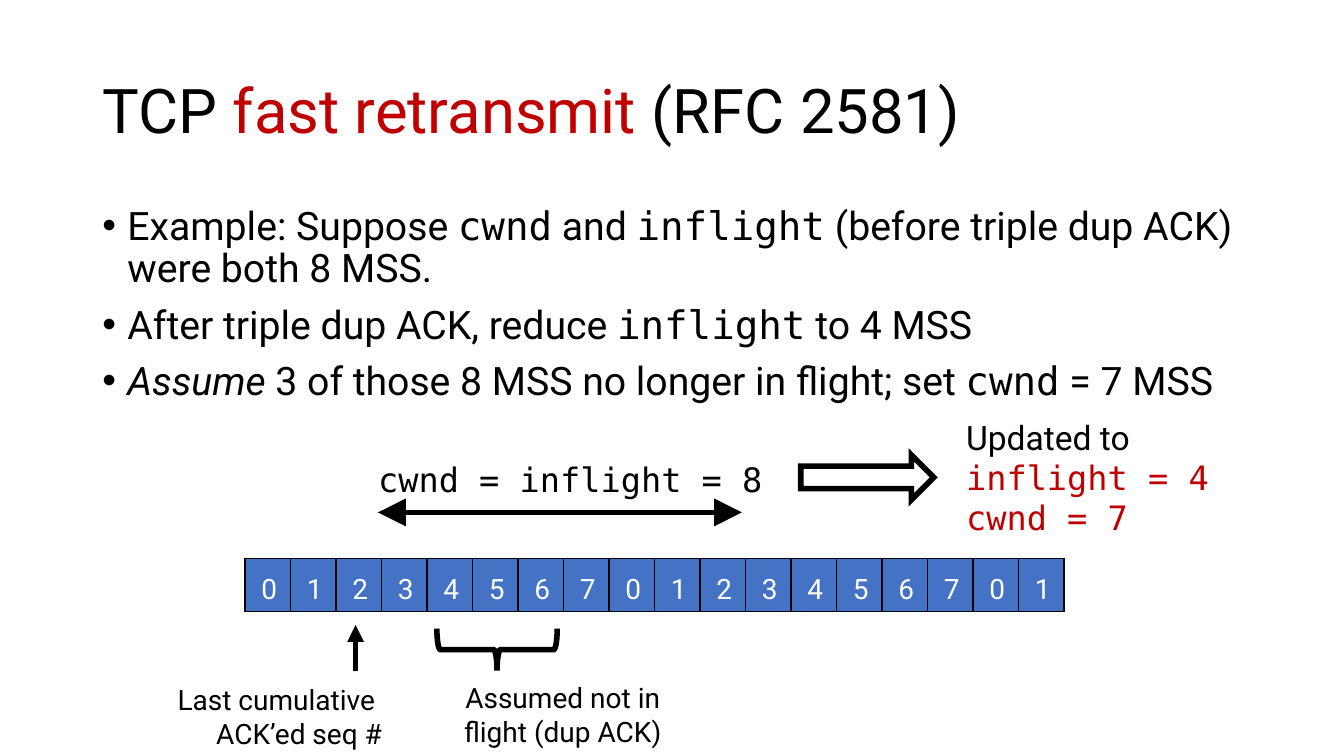
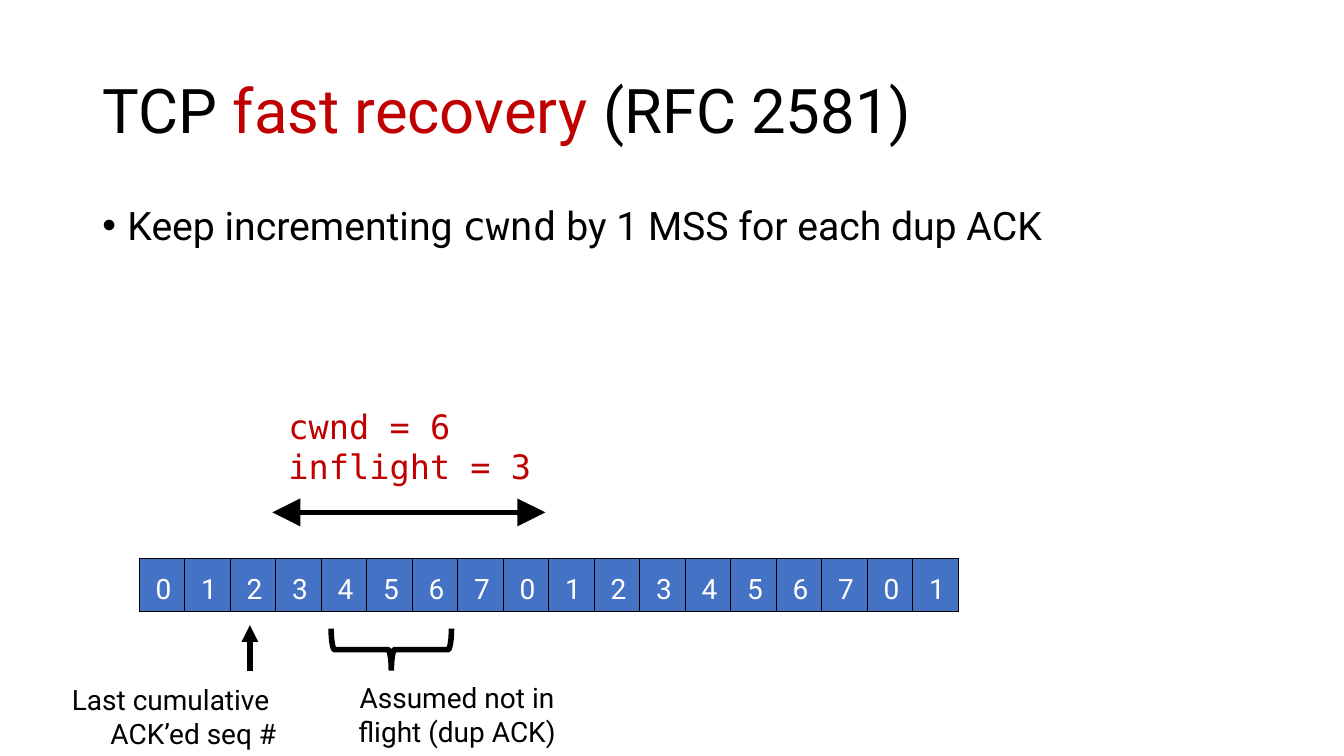
import pptx
import pptx.dml.color
import pptx.enum.shapes
import pptx.enum.text
import pptx.oxml
import pptx.oxml.ns
import pptx.util

Pt = pptx.util.Pt
Align = pptx.enum.text.PP_ALIGN
Anchor = pptx.enum.text.MSO_ANCHOR
Shape = pptx.enum.shapes.MSO_SHAPE

COLORS = {"text": "000000", "accent": "C00000", "cell": "4472C4", "digit": "FFFFFF"}
FONT, CODE_FONT = "Roboto", "DejaVu Sans Mono"
TITLE_SIZE, BODY_SIZE, FORMULA_SIZE, LABEL_SIZE = 44, 28, 24, 20
LINE_WIDTH = 4
CELL_WIDTH, CELL_HEIGHT, CELL_TOP = 32.5, 38, 399
SEQUENCE = "012345670123456701"


def rgb(name):
    return pptx.dml.color.RGBColor.from_string(COLORS[name])


def add_xml(parent, tag, **attributes):
    element = pptx.oxml.parse_xml(f"<a:{tag} {pptx.oxml.ns.nsdecls('a')}/>")
    for name, value in attributes.items():
        element.set(name, value)
    parent.append(element)
    return element


class Deck:
    """Holds the shared style and the current slide."""

    def __init__(self):
        self.presentation = pptx.Presentation()
        self.presentation.slide_width = Pt(960)
        self.presentation.slide_height = Pt(540)
        self.slide = None

    def add_runs(self, paragraph, pieces, size, color="text"):
        """Each piece is a string or a pair of a string and its style words."""
        for piece in pieces:
            text, style = (piece, "") if isinstance(piece, str) else piece
            run = paragraph.add_run()
            run.text = text
            run.font.size = Pt(size)
            run.font.name = CODE_FONT if "code" in style else FONT
            run.font.color.rgb = rgb("accent" if "accent" in style else color)
            if "italic" in style:
                run.font.italic = True

    def new_slide(self, *title_pieces):
        self.slide = self.presentation.slides.add_slide(self.presentation.slide_layouts[5])
        title = self.slide.shapes.title
        title.left, title.top, title.width, title.height = Pt(66), Pt(29), Pt(828), Pt(104)
        frame = title.text_frame
        frame.auto_size = pptx.enum.text.MSO_AUTO_SIZE.NONE
        frame.vertical_anchor = Anchor.MIDDLE
        paragraph = frame.paragraphs[0]
        paragraph.alignment = Align.LEFT
        paragraph.line_spacing = 0.9
        self.add_runs(paragraph, title_pieces, TITLE_SIZE)

    def text(self, left, top, width, height, lines, size, align=Align.LEFT):
        box = self.slide.shapes.add_textbox(Pt(left), Pt(top), Pt(width), Pt(height))
        frame = box.text_frame
        frame.word_wrap = True
        for index, pieces in enumerate(lines):
            paragraph = frame.add_paragraph() if index else frame.paragraphs[0]
            paragraph.alignment = align
            self.add_runs(paragraph, pieces, size)
        return frame

    def bullets(self, *lines):
        frame = self.text(66, 144, 850, 150, lines, BODY_SIZE)
        for paragraph in frame.paragraphs:
            paragraph.line_spacing = 0.9
            paragraph.space_before = Pt(10)
            properties = paragraph._p.get_or_add_pPr()
            properties.set("marL", str(Pt(18)))
            properties.set("indent", str(-Pt(18)))
            add_xml(properties, "buFont", typeface="Arial")
            add_xml(properties, "buChar", char="•")

    def outline(self, kind, left, top, width, height, line_width=LINE_WIDTH, fill=None):
        shape = self.slide.shapes.add_shape(kind, Pt(left), Pt(top), Pt(width), Pt(height))
        shape.shadow.inherit = False
        if fill:
            shape.fill.solid()
            shape.fill.fore_color.rgb = rgb(fill)
        else:
            shape.fill.background()
        shape.line.color.rgb = rgb("text")
        shape.line.width = Pt(line_width)
        add_xml(shape.line._get_or_add_ln(), "miter", lim="800000")
        return shape

    def arrow(self, start, end, head_size="med", both_ends=False):
        connector = self.slide.shapes.add_connector(
            pptx.enum.shapes.MSO_CONNECTOR.STRAIGHT, *map(Pt, start + end))
        connector.line.color.rgb = rgb("text")
        connector.line.width = Pt(LINE_WIDTH)
        line = connector.line._get_or_add_ln()
        for tag in ("headEnd", "tailEnd") if both_ends else ("tailEnd",):
            add_xml(line, tag, type="triangle", w=head_size, len=head_size)
        add_xml(connector._element.spPr, "effectLst")

    def cell(self, left, digit):
        shape = self.outline(Shape.RECTANGLE, left, CELL_TOP, CELL_WIDTH, CELL_HEIGHT, 0.75, "cell")
        frame = shape.text_frame
        frame.margin_left, frame.margin_right = Pt(2), Pt(0)
        frame.margin_top, frame.margin_bottom = Pt(5), Pt(0)
        frame.vertical_anchor = Anchor.MIDDLE
        paragraph = frame.paragraphs[0]
        paragraph.alignment = Align.CENTER
        self.add_runs(paragraph, [digit], LABEL_SIZE, "digit")

    def sequence_diagram(self, left, window):
        """Draws the numbered row, a window of that many cells and the labels below."""
        for index, digit in enumerate(SEQUENCE):
            self.cell(left + index * CELL_WIDTH, digit)
        window_left = left + 95
        self.arrow((window_left, 366), (window_left + window * CELL_WIDTH, 366), "lg", True)

        # Last acknowledged number
        self.arrow((left + 79, 479), (left + 79, 446.5))
        self.text(left - 73.5, 484, 178.5, 55, [["Last cumulative "], ["ACK’ed seq #"]],
                  LABEL_SIZE, Align.RIGHT)

        # Numbers assumed lost from flight
        brace = self.outline(Shape.RIGHT_BRACE, left + 165, 421, 30, 86)
        brace.rotation = 90
        self.text(left + 139.5, 482.5, 175, 55, [["Assumed not in flight (dup ACK)"]],
                  LABEL_SIZE, Align.CENTER)


def main():
    deck = Deck()

    # Fast retransmit
    deck.new_slide("TCP ", ("fast retransmit", "accent"), " (RFC 2581)")
    deck.bullets(
        ["Example: Suppose ", ("cwnd", "code"), " and ", ("inflight", "code"),
         " (before triple dup ACK) were both 8 MSS."],
        ["After triple dup ACK, reduce ", ("inflight", "code"), " to 4 MSS"],
        [("Assume", "italic"), " 3 of those 8 MSS no longer in flight; set ",
         ("cwnd", "code"), " = 7 MSS"])
    deck.sequence_diagram(175, 8)
    deck.text(263, 324, 323, 36, [[("cwnd = inflight = 8", "code")]], FORMULA_SIZE)
    deck.outline(Shape.RIGHT_ARROW, 572, 325, 95, 32)
    deck.text(683, 294, 194, 94,
              [["Updated to"], [("inflight = 4", "code accent")], [("cwnd = 7", "code accent")]],
              FORMULA_SIZE)

    # Fast recovery
    deck.new_slide("TCP ", ("fast recovery", "accent"), " (RFC 2581)")
    deck.bullets(["Keep incrementing ", ("cwnd", "code"), " by 1 MSS for each dup ACK"])
    deck.sequence_diagram(99.5, 6)
    deck.text(199, 286.5, 194, 66,
              [[("cwnd = 6", "code accent")], [("inflight = 3", "code accent")]], FORMULA_SIZE)

    deck.presentation.save("out.pptx")


if __name__ == "__main__":
    main()
